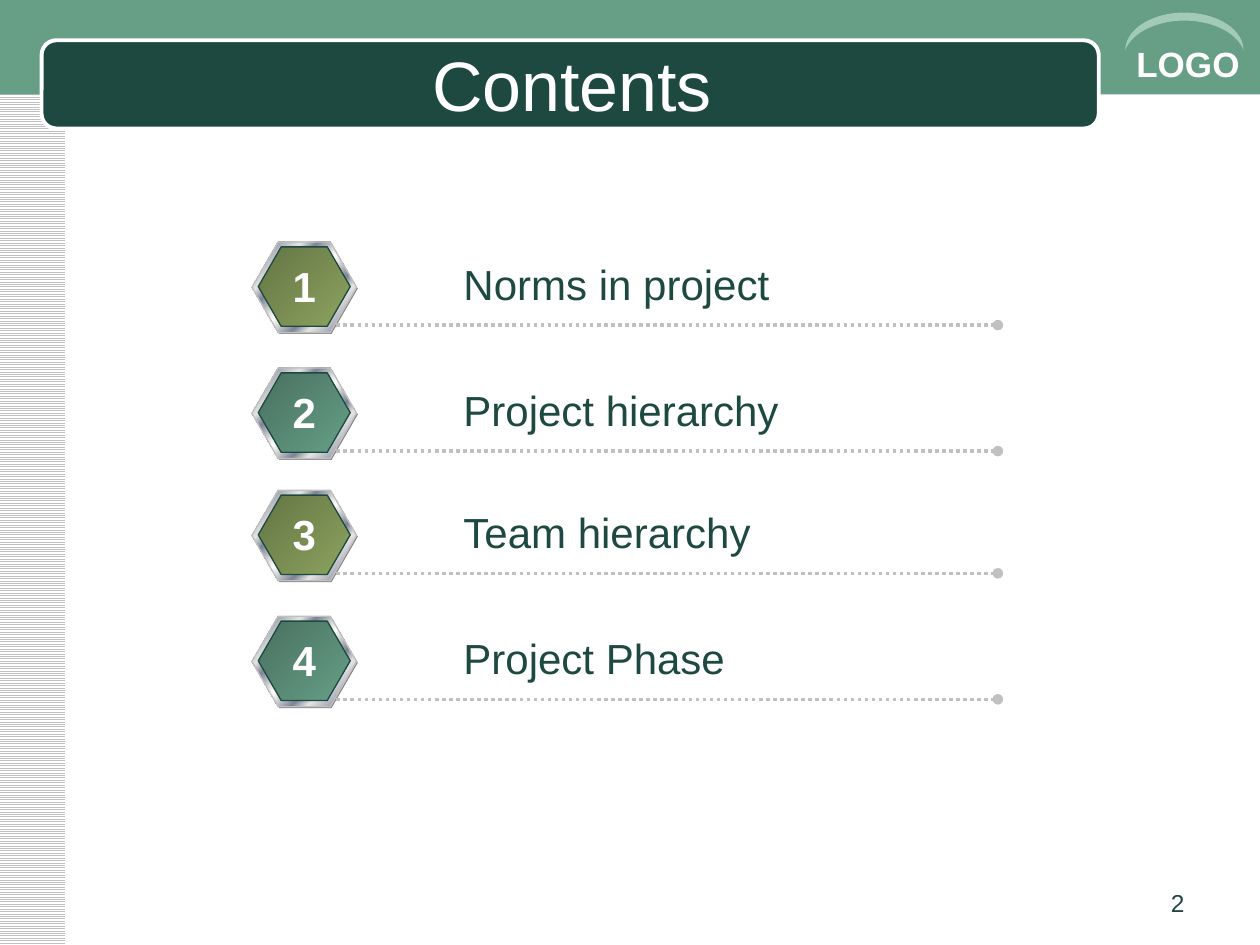
from lxml import etree
from pptx import Presentation
from pptx.dml.color import RGBColor
from pptx.enum.dml import MSO_LINE, MSO_PATTERN
from pptx.enum.shapes import MSO_CONNECTOR, MSO_SHAPE
from pptx.enum.text import MSO_ANCHOR, MSO_AUTO_SIZE, PP_ALIGN
from pptx.oxml.ns import qn
from pptx.util import Inches, Pt

RECT, ROUND = MSO_SHAPE.RECTANGLE, MSO_SHAPE.ROUNDED_RECTANGLE
HEXAGON, MOON = MSO_SHAPE.HEXAGON, MSO_SHAPE.MOON
LEFT, CENTER, RIGHT = PP_ALIGN.LEFT, PP_ALIGN.CENTER, PP_ALIGN.RIGHT
MIDDLE, GROW = MSO_ANCHOR.MIDDLE, MSO_AUTO_SIZE.SHAPE_TO_FIT_TEXT
DOTTED, STRIPES = MSO_LINE.ROUND_DOT, MSO_PATTERN.LIGHT_HORIZONTAL
STRAIGHT = MSO_CONNECTOR.STRAIGHT

FONT = "Arial"
WIDTH, HEIGHT = 10, 7.5
COLORS = {
    "white": "FFFFFF", "dark": "1D4940", "band": "669E86", "arc": "A2CAB4",
    "silver": "C0C0C0", "shade": "808080", "light": "E6E6E6", "steel": "7D8496",
    "olive": "647544", "olive_end": "8CA35F", "teal": "497160",
}
METAL = [(0, "light"), (7, "steel"), (26, "light"), (34, "steel"), (46, "light"),
         (50, "white"), (54, "light"), (66, "steel"), (74, "light"), (93, "steel"),
         (100, "light")]
BADGE_FILLS = [[(0, "olive"), (100, "olive_end")], [(0, "teal"), (100, "band")]]
ENTRIES = [("Norms in project", 1.92, 2.65), ("Project hierarchy", 2.92, 2.73),
           ("Team hierarchy", 3.89, 2.5), ("Project Phase", 4.89, 2.3)]


def rgb(name):
    """Return the palette colour of that name."""
    return RGBColor.from_string(COLORS[name])


def lengths(box):
    """Turn a box in inches into slide lengths."""
    return [Inches(value) for value in box]


def add_shape(shapes, preset, box, fill=None, line=None, weight=0.75, adjust=None):
    """Add a flat preset shape with an optional solid fill and outline."""
    shape = shapes.add_shape(preset, *lengths(box))
    shape.shadow.inherit = False
    if fill:
        shape.fill.solid()
        shape.fill.fore_color.rgb = rgb(fill)
    if line:
        shape.line.color.rgb = rgb(line)
        shape.line.width = Pt(weight)
    else:
        shape.line.fill.background()
    if adjust is not None:
        shape.adjustments[0] = adjust
    return shape


def fill_gradient(shape, stops):
    """Fill a shape with a diagonal gradient of the given stops."""
    shape.fill.gradient()
    shape.fill.gradient_angle = 315
    stop_list = shape._element.spPr.find(qn("a:gradFill")).find(qn("a:gsLst"))
    for stop in list(stop_list):
        stop_list.remove(stop)
    for position, color in stops:
        stop = etree.SubElement(stop_list, qn("a:gs"), pos=str(position * 1000))
        etree.SubElement(stop, qn("a:srgbClr"), val=COLORS[color])


def write(frame, text, size, color, align=LEFT, bold=False):
    """Write one formatted run into a text frame."""
    paragraph = frame.paragraphs[0]
    paragraph.alignment = align
    run = paragraph.add_run()
    run.text = text
    run.font.name, run.font.size, run.font.bold = FONT, Pt(size), bold
    run.font.color.rgb = rgb(color)


def add_text(slide, box, text, size, color, align=LEFT, bold=False, wrap=False):
    """Add a text box that grows with its text."""
    frame = slide.shapes.add_textbox(*lengths(box)).text_frame
    frame.word_wrap = wrap
    frame.auto_size = GROW
    write(frame, text, size, color, align, bold)


def add_frame(slide):
    """Draw the striped margin and the top band."""
    margin = add_shape(slide.shapes, RECT, (-0.01, 0, 0.53, HEIGHT))
    margin.fill.patterned()
    margin.fill.pattern = STRIPES
    margin.fill.fore_color.rgb = rgb("silver")
    margin.fill.back_color.rgb = rgb("white")
    add_shape(slide.shapes, RECT, (0, 0, WIDTH, HEIGHT / 10), "band")


def add_title(slide, box, text):
    """Draw the title bar and set the title placeholder on it."""
    left, top, width, height = box
    add_shape(slide.shapes, ROUND, box, "dark", "white", 2.25, 0.167)
    title = slide.shapes.title
    title.left, title.top, title.width, title.height = lengths(
        (left + 0.17, top + 0.03, width - 0.31, height - 0.08))
    title.text_frame.vertical_anchor = MIDDLE
    write(title.text_frame, text, 40, "white", CENTER)
    slide.shapes._spTree.append(title._element)


def add_corner_mark(slide, left, top):
    """Draw the corner word under its arc."""
    add_text(slide, (left, top, 1.08, 0.43), "LOGO", 20, "white", bold=True, wrap=True)
    arc = add_shape(slide.shapes, MOON, (left + 0.33, top - 0.51, 0.3, 0.94), "arc",
                    adjust=0.212)
    arc.rotation = 90


def add_badge(slide, left, top, stops):
    """Draw a metal-rimmed hexagon as one group."""
    parts = slide.shapes.add_group_shape().shapes
    add_shape(parts, HEXAGON, (left + 0.01, top + 0.01, 0.83, 0.72), "shade", adjust=0.289)
    rim = add_shape(parts, HEXAGON, (left, top, 0.83, 0.72), line="silver", adjust=0.289)
    fill_gradient(rim, METAL)
    face = add_shape(parts, HEXAGON, (left + 0.05, top + 0.04, 0.73, 0.63), line="dark",
                     adjust=0.289)
    fill_gradient(face, stops)


def add_leader(slide, left, top, width):
    """Draw a dotted rule that ends in a dot."""
    leader = slide.shapes.add_connector(
        STRAIGHT, *lengths((left, top, left + width, top)))
    leader.line.color.rgb = rgb("silver")
    leader.line.width = Pt(2)
    leader.line.dash_style = DOTTED
    properties = leader._element.spPr
    etree.SubElement(properties.find(qn("a:ln")), qn("a:tailEnd"), type="oval")
    etree.SubElement(properties, qn("a:effectLst"))


def add_entry(slide, left, top, number, text, text_width):
    """Draw one numbered line of the contents."""
    add_badge(slide, left, top, BADGE_FILLS[(number - 1) % len(BADGE_FILLS)])
    add_leader(slide, left + 0.67, top + 0.66, 5.25)
    add_text(slide, (left + 1.58, top + 0.08, text_width, 0.5), text, 24, "dark")
    add_text(slide, (left + 0.22, top + 0.1, 0.39, 0.5), str(number), 24, "white",
             CENTER, True)


def build():
    """Build the contents slide and save it."""
    deck = Presentation()
    deck.slide_width, deck.slide_height = lengths((WIDTH, HEIGHT))
    slide = deck.slides.add_slide(deck.slide_layouts[5])
    add_frame(slide)
    add_title(slide, (0.33, 0.32, 8.39, 0.7), "Contents")
    add_corner_mark(slide, 8.92, 0.29)
    for number, (text, top, text_width) in enumerate(ENTRIES, 1):
        add_entry(slide, 2, top, number, text, text_width)
    add_text(slide, (7.17, 7, 2.33, 0.35), "2", 14, "dark", RIGHT, wrap=True)
    deck.save("out.pptx")


build()
